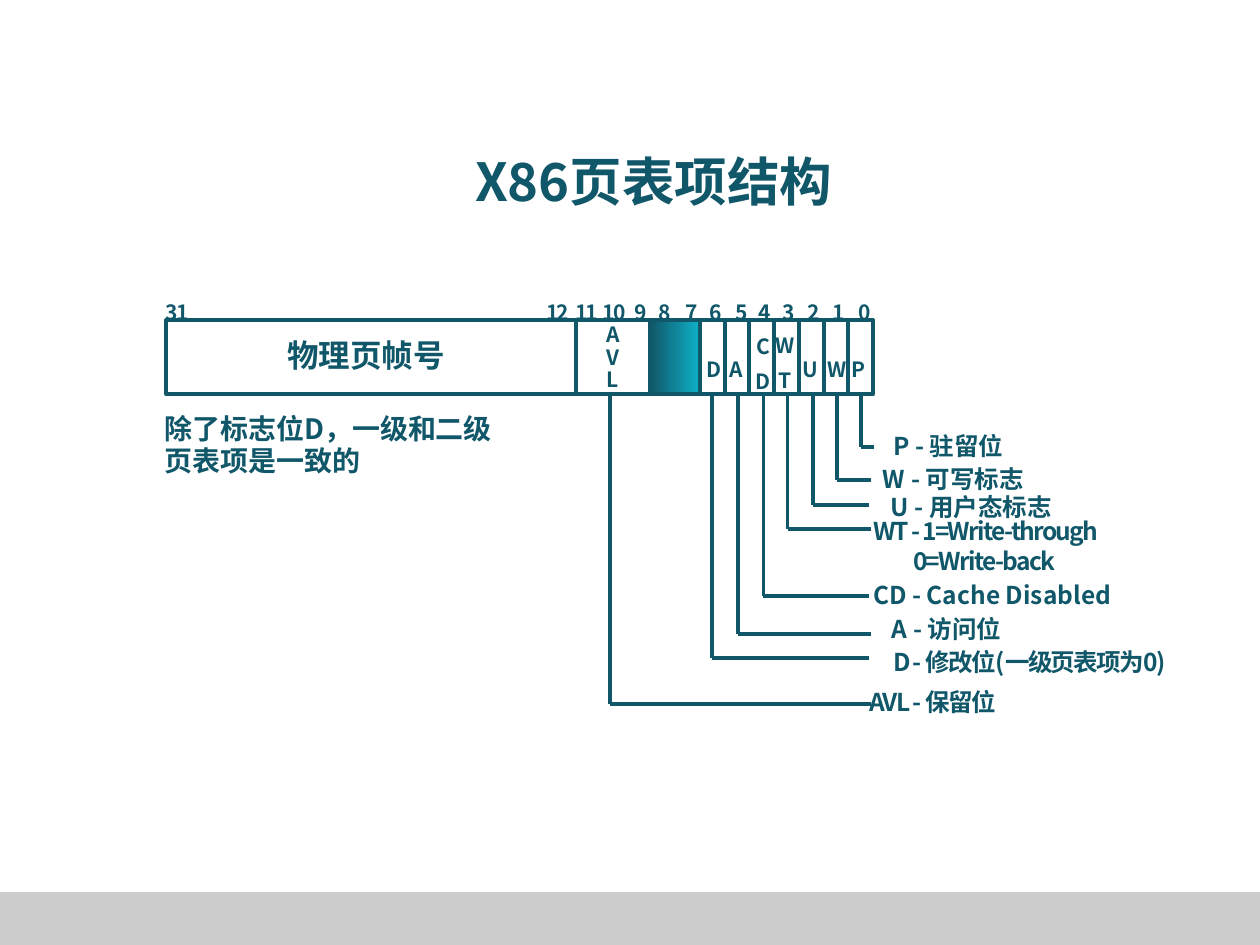
import pptx
import pptx.dml.color
import pptx.enum.shapes
import pptx.enum.text
import pptx.util
from lxml import etree
from pptx.oxml.ns import qn

Pt = pptx.util.Pt
FONT = "Noto Sans CJK SC"
COLORS = {"ink": "11576A", "glow": "0EB1C8", "footer": "CCCCCC"}
BIT = 14.15
FRAME_WIDTH = 234.2
ROW_HEIGHT = 42.3


def rgb(name):
    """Return the named colour."""
    return pptx.dml.color.RGBColor.from_string(COLORS[name])


def add_text(page, box, lines, size, align="LEFT", leading=0.95, before=None, tracking=0, indent=0):
    """Place a text box with one paragraph per line, indenting those after the first."""
    shape = page.shapes.add_textbox(*map(Pt, box))
    frame = shape.text_frame
    frame.word_wrap = True
    frame.auto_size = pptx.enum.text.MSO_AUTO_SIZE.SHAPE_TO_FIT_TEXT
    for index, line in enumerate(lines):
        para = frame.paragraphs[0] if index == 0 else frame.add_paragraph()
        para.alignment = getattr(pptx.enum.text.PP_ALIGN, align)
        para.line_spacing = leading
        para.space_before = Pt(size / 2 if before is None else before)
        if index and indent:
            properties = para._p.get_or_add_pPr()
            properties.set("marL", str(Pt(indent)))
            properties.set("indent", "0")
        span = para.add_run()
        span.text = line
        span.font.size = Pt(size)
        span.font.bold = True
        span.font.name = FONT
        span.font.color.rgb = rgb("ink")
        details = span._r.get_or_add_rPr()
        etree.SubElement(details, qn("a:ea")).set("typeface", FONT)
        if tracking:
            details.set("spc", str(tracking * 100))


def add_rect(page, box):
    """Place an unfilled rectangle with the standard outline."""
    shape = page.shapes.add_shape(pptx.enum.shapes.MSO_SHAPE.RECTANGLE, *map(Pt, box))
    shape.shadow.inherit = False
    shape.fill.background()
    shape.line.color.rgb = rgb("ink")
    shape.line.width = Pt(2.25)
    return shape


def add_wire(page, start, end):
    """Draw a straight line between two points."""
    wire = page.shapes.add_connector(
        pptx.enum.shapes.MSO_CONNECTOR.STRAIGHT, *map(Pt, (*start, *end)))
    wire.line.color.rgb = rgb("ink")
    wire.line.width = Pt(2.25)
    etree.SubElement(wire._element.spPr, qn("a:effectLst"))


def add_footer(page, box):
    """Place the plain band at the foot of the page."""
    band = add_rect(page, box)
    band.fill.solid()
    band.fill.fore_color.rgb = rgb("footer")
    band.line.fill.background()


def add_entry_row(page, left, top):
    """Draw the fields of the page table entry with their labels."""
    for slot in range(5, 12):
        add_rect(page, (left + FRAME_WIDTH + slot * BIT, top, BIT, ROW_HEIGHT))
    reserved = add_rect(page, (left + FRAME_WIDTH + 3 * BIT, top, 2 * BIT, ROW_HEIGHT))
    reserved.fill.gradient()
    reserved.fill.gradient_angle = 0
    for stop, name in zip(reserved.fill.gradient_stops, ("ink", "glow")):
        stop.color.rgb = rgb(name)
    add_rect(page, (left + FRAME_WIDTH, top, 3 * BIT, ROW_HEIGHT))
    add_rect(page, (left, top, FRAME_WIDTH, ROW_HEIGHT))
    add_text(page, (left - 20.8, top + 7.2, 270, 28), ["物理页帧号"], 18, "CENTER")
    labels = [
        ("AVL", 255.3, 3.5, 22.3, 8), ("D", 312.9, 6.4, 22.3, 25),
        ("A", 325.8, 6.4, 22.3, 25), ("U", 367.6, 6.4, 22.3, 25),
        ("CD", 341, 3.5, 22.3, 15), ("WT", 353.6, 2.8, 27.4, 15),
        ("W", 382, 6.4, 22.3, 25), ("P", 395.7, 6.4, 22.3, 25),
    ]
    for label, center, drop, width, leading in labels:
        box = (left + center - width / 2, top + drop, width, 32.4)
        add_text(page, box, label, 12, "CENTER", Pt(leading), 5, -1)


def add_bit_numbers(page, left, top):
    """Number the bits above the entry row."""
    centers = {
        0: 397.1, 1: 382, 2: 367.6, 3: 353.2, 4: 339.5, 5: 326.6, 6: 311.4,
        7: 297.8, 8: 282.6, 9: 269, 10: 256, 11: 240.2, 12: 223.6, 31: 6.2,
    }
    for bit, center in centers.items():
        width = 16.6 if bit < 10 else 34
        box = (left + center - width / 2, top, width, 32.4)
        add_text(page, box, [str(bit)], 12, "CENTER", Pt(25), 5, -1)


def add_legend(page, left, top):
    """Explain each flag and wire it to its field."""
    flags = [
        (["P - 驻留位"], 408.3, 19.1, 107, 396.8, 30.6, 404.7, 0),
        (["W - 可写标志"], 402.5, 37.8, 174, 383.1, 49.3, 402.5, 0),
        (["U - 用户态标志"], 406.8, 53.6, 174, 369.4, 63.7, 401.8, 0),
        (["WT - 1=Write-through", "0=Write-back"], 396.8, 73.1, 225, 355, 77.4, 402.5, -1),
        (["CD - Cache Disabled"], 396.8, 104, 208, 341.3, 115.6, 401.8, 0),
        (["A - 访问位"], 407.6, 123.5, 174, 326.9, 137.2, 402.5, 0),
        (["D - 修改位(一级页表项为0)"], 408.3, 142.2, 216, 311.8, 150.8, 401.8, -1),
        (["AVL - 保留位"], 394.6, 165.2, 225, 253.5, 177.5, 402.5, -1),
    ]
    for lines, x, y, width, wire_x, wire_y, wire_end, tracking in flags:
        leading = Pt(10) if len(lines) > 1 else 0.95
        height = 36 if len(lines) > 1 else 23
        box = (left + x, top + y, width, height)
        add_text(page, box, lines, 14, leading=leading, tracking=tracking, indent=23)
        corner = (left + wire_x, top + wire_y)
        add_wire(page, (left + wire_x, top), corner)
        add_wire(page, corner, (left + wire_end, top + wire_y))


def main():
    """Build the page table entry slide."""
    deck = pptx.Presentation()
    deck.slide_width, deck.slide_height = Pt(720), Pt(540)
    page = deck.slides.add_slide(deck.slide_layouts[6])
    add_footer(page, (0, 509.8, 720, 30.2))
    add_text(page, (134.6, 84.2, 478, 41.8), ["X86页表项结构"], 30, "CENTER")
    add_entry_row(page, 95, 183)
    add_bit_numbers(page, 95, 157)
    add_text(page, (87.1, 233.3, 208, 44), ["除了标志位D，一级和二级页表项是一致的"], 16)
    add_legend(page, 95, 225)
    deck.save("out.pptx")


if __name__ == "__main__":
    main()
